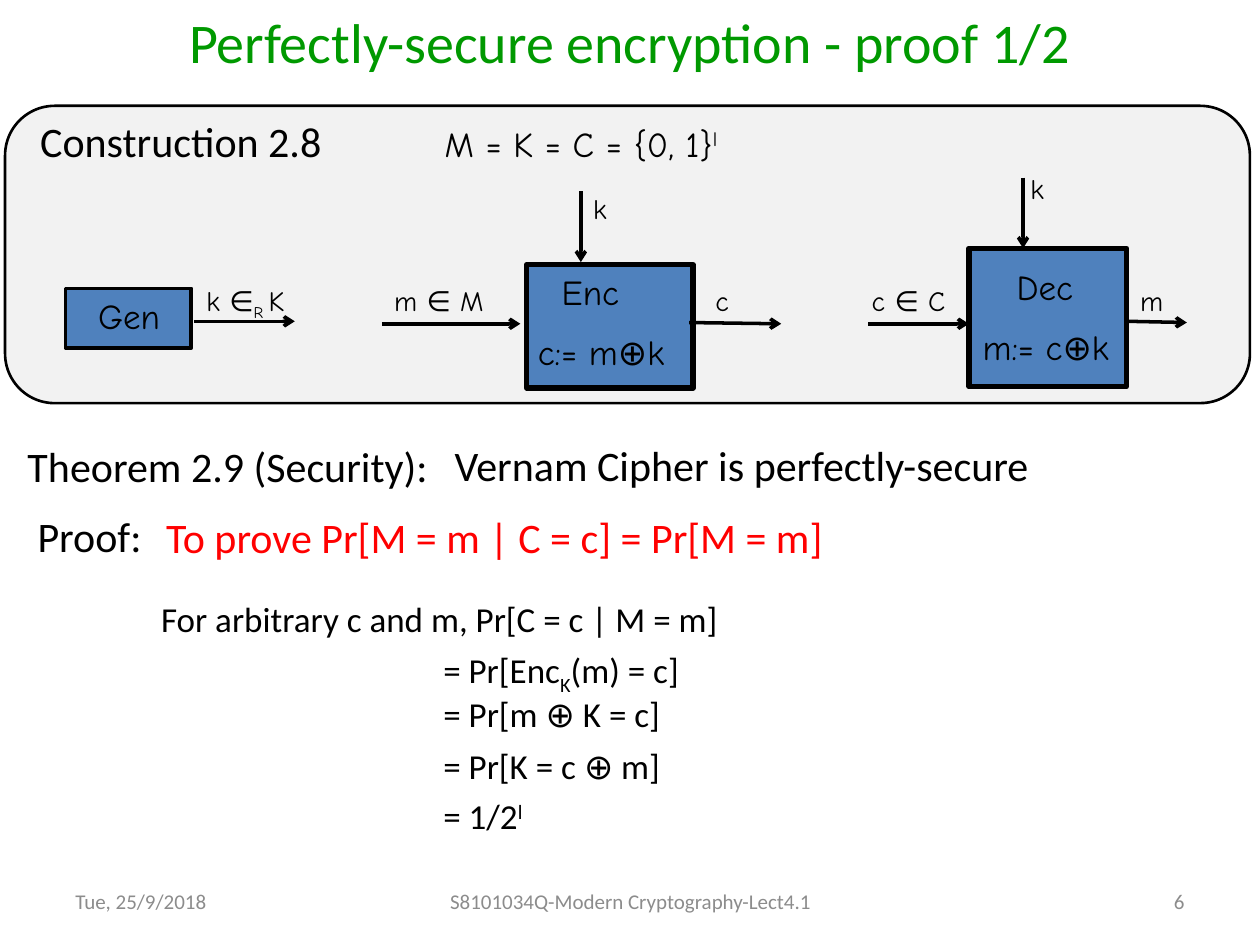
from dataclasses import dataclass
from typing import NamedTuple

from lxml.etree import SubElement as Sub
from pptx import Presentation
from pptx.dml.color import RGBColor as Rgb
from pptx.enum.shapes import MSO_CONNECTOR as Conn, MSO_SHAPE as Form
from pptx.enum.text import MSO_ANCHOR as Anchor, PP_ALIGN as Align
from pptx.oxml.ns import qn
from pptx.util import Inches, Pt


@dataclass(frozen=True)
class Theme:
    sans: str = "Calibri"
    hand: str = "Comic Neue"
    ink: str = "000000"
    green: str = "009900"
    red: str = "FF0000"
    gray: str = "8C8C8C"
    panel: str = "F2F2F2"
    blue: str = "4F81BD"
    title: int = 32
    head: int = 24
    body: int = 20
    label: int = 16
    foot: int = 12


T = Theme()


class Run(NamedTuple):
    text: str
    base: int = 0


class Style(NamedTuple):
    size: int
    face: str = T.sans
    color: str = T.ink
    align: Align = Align.LEFT
    anchor: Anchor = Anchor.TOP
    wrap: bool = True


class Line(NamedTuple):
    runs: tuple[Run, ...]
    indent: float = 0


class Text(NamedTuple):
    x: float
    y: float
    w: float
    h: float
    style: Style
    lines: tuple[Line, ...]


class Box(NamedTuple):
    x: float
    y: float
    w: float
    h: float
    form: Form
    fill: str
    width: float


class Arrow(NamedTuple):
    x1: float
    y1: float
    x2: float
    y2: float


def line(*parts: str | Run, indent: float = 0) -> Line:
    return Line(tuple(p if isinstance(p, Run) else Run(p) for p in parts), indent)


def write(shape, style: Style, lines: tuple[Line, ...]) -> None:
    frame = shape.text_frame
    frame.word_wrap = style.wrap
    frame.vertical_anchor = style.anchor
    for i, item in enumerate(lines):
        para = frame.add_paragraph() if i else frame.paragraphs[0]
        para.alignment = style.align
        if i:
            para.space_before = Pt(style.size / 2)
        if item.indent:
            para._p.get_or_add_pPr().set("marL", str(Inches(item.indent)))
        font = para.font
        font.name, font.size = style.face, Pt(style.size)
        font.color.rgb = Rgb.from_string(style.color)
        for part in item.runs:
            run = para.add_run()
            run.text = part.text
            if part.base:
                run._r.get_or_add_rPr().set("baseline", str(part.base * 1000))


def draw_text(slide, text: Text) -> None:
    shape = slide.shapes.add_textbox(*map(Inches, text[:4]))
    write(shape, text.style, text.lines)


def draw_box(slide, box: Box) -> None:
    shape = slide.shapes.add_shape(box.form, *map(Inches, box[:4]))
    shape.shadow.inherit = False
    shape.fill.solid()
    shape.fill.fore_color.rgb = Rgb.from_string(box.fill)
    shape.line.color.rgb = Rgb.from_string(T.ink)
    shape.line.width = Pt(box.width)


def draw_arrow(slide, arrow: Arrow) -> None:
    link = slide.shapes.add_connector(Conn.STRAIGHT, *map(Inches, arrow))
    link.line.color.rgb = Rgb.from_string(T.ink)
    link.line.width = Pt(2)
    Sub(link.line._get_or_add_ln(), qn("a:tailEnd"), type="arrow")
    Sub(link._element.spPr, qn("a:effectLst"))


HEAD = Style(T.head)
CLAIM = Style(T.head, color=T.red)
NAME = Style(T.head, wrap=False)
STEP = Style(T.body, wrap=False)
NODE = Style(T.body, T.hand)
LABEL = Style(T.label, T.hand)
FOOT = Style(T.foot, color=T.gray, anchor=Anchor.MIDDLE)

BOXES = (
    Box(0.04, 0.84, 9.88, 2.36, Form.ROUNDED_RECTANGLE, T.panel, 1.5),
    Box(0.52, 2.29, 1, 0.47, Form.RECTANGLE, T.blue, 2.25),
    Box(4.18, 2.1, 1.32, 0.98, Form.RECTANGLE, T.blue, 3),
    Box(7.69, 1.97, 1.25, 1.1, Form.RECTANGLE, T.blue, 3),
)

ARROWS = (
    Arrow(1.54, 2.55, 2.34, 2.55),
    Arrow(3.03, 2.57, 4.13, 2.57),
    Arrow(4.61, 1.52, 4.61, 2.08),
    Arrow(5.47, 2.56, 6.2, 2.57),
    Arrow(8.12, 1.41, 8.12, 1.97),
    Arrow(6.89, 2.57, 7.69, 2.57),
    Arrow(8.95, 2.55, 9.42, 2.56),
)

LABELS = (
    (1.54, 2.2, line("k ∈", Run("R ", -25), "K")),
    (3.03, 2.2, line("m ∈ M")),
    (4.61, 1.47, line("k")),
    (5.58, 2.2, line("c")),
    (8.08, 1.31, line("k")),
    (6.82, 2.2, line("c ∈ C")),
    (8.95, 2.2, line("m")),
)

STEPS = (
    (1.18, 4.69, 4.66, line("For arbitrary c and m, Pr[C = c | M = m]")),
    (3.42, 5.1, 2.17, line("= Pr[Enc", Run("K", -25), "(m) = c]")),
    (3.42, 5.45, 1.98, line("= Pr[m ⊕ K = c]")),
    (3.42, 5.86, 1.98, line("= Pr[K = c ⊕ m]")),
    (3.42, 6.26, 0.9, line("= 1/2", Run("l", 30))),
)

FEET = (
    (0.5, 2.33, Align.LEFT, "Tue, 25/9/2018"),
    (3.42, 3.17, Align.CENTER, "S8101034Q-Modern Cryptography-Lect4.1"),
    (7.17, 2.33, Align.RIGHT, "6"),
)

TEXTS = (
    Text(0.22, 0.87, 2.45, 0.5, NAME, (line("Construction 2.8"),)),
    Text(3.43, 0.92, 4.09, 0.44, NODE, (line("M = K = C = {0, 1}", Run("l", 30)),)),
    Text(0.68, 2.29, 0.94, 0.44, NODE, (line("Gen"),)),
    Text(4.17, 2.1, 1.46, 0.94, NODE, (line("Enc", indent=0.19), line("c:= m⊕k"))),
    Text(7.7, 2.06, 1.73, 0.88, NODE, (line("Dec", indent=0.27), line("m:= c⊕k"))),
    *(Text(x, y, 0.95, 0.37, LABEL, (item,)) for x, y, item in LABELS),
    Text(0.12, 3.45, 4.06, 0.5, HEAD, (line("Theorem 2.9 (Security):"),)),
    Text(3.51, 3.44, 5.28, 0.5, HEAD, (line("Vernam Cipher is perfectly-secure"),)),
    Text(0.2, 4, 1.26, 0.5, HEAD, (line("Proof:"),)),
    Text(1.22, 4.01, 6.61, 0.5, CLAIM, (line("To prove Pr[M = m | C = c] = Pr[M = m]"),)),
    *(Text(x, y, w, 0.44, STEP, (item,)) for x, y, w, item in STEPS),
    *(Text(x, 6.95, w, 0.4, FOOT._replace(align=side), (line(words),))
      for x, w, side, words in FEET),
)


def main() -> None:
    deck = Presentation()
    deck.slide_width, deck.slide_height = Inches(10), Inches(7.5)
    slide = deck.slides.add_slide(deck.slide_layouts[5])
    title = slide.shapes.title
    title.left, title.top = Inches(0.12), Inches(0.05)
    title.width, title.height = Inches(9.76), Inches(0.55)
    look = Style(T.title, color=T.green, align=Align.CENTER, anchor=Anchor.MIDDLE)
    write(title, look, (line("Perfectly-secure encryption - proof 1/2"),))
    for box in BOXES:
        draw_box(slide, box)
    for arrow in ARROWS:
        draw_arrow(slide, arrow)
    for text in TEXTS:
        draw_text(slide, text)
    deck.save("out.pptx")


if __name__ == "__main__":
    main()
